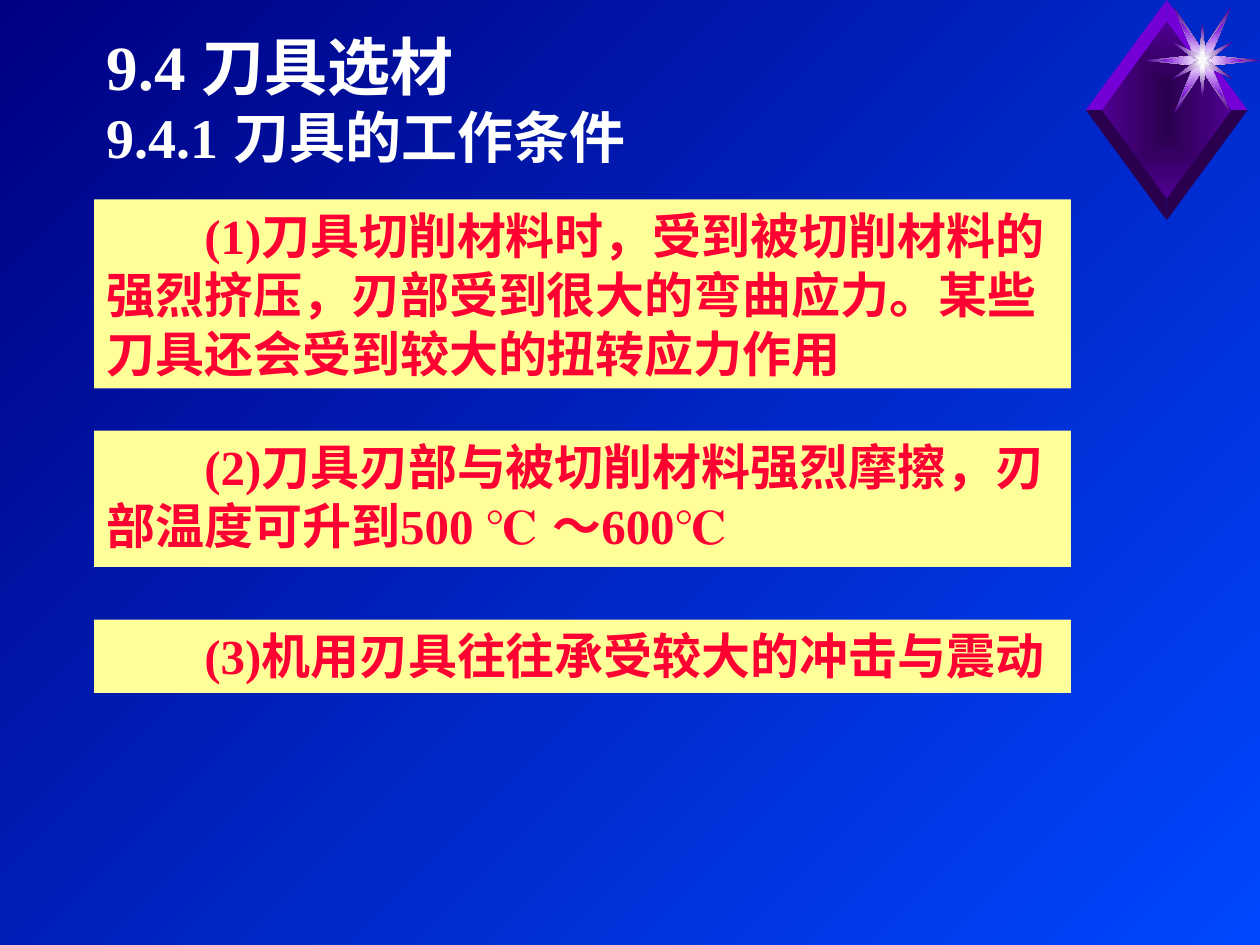
"""Build the slide on working conditions of cutting tools."""
from dataclasses import dataclass

from lxml.etree import SubElement
from pptx import Presentation
from pptx.dml.color import RGBColor
from pptx.enum.shapes import MSO_SHAPE
from pptx.enum.text import MSO_ANCHOR, PP_ALIGN
from pptx.oxml.ns import qn
from pptx.util import Cm, Pt


@dataclass(frozen=True)
class Theme:
    font: str = "Times New Roman"
    bg_light: str = "0047FF"
    bg_dark: str = "000082"
    title: str = "FFFFFF"
    body: str = "FF0033"
    panel: str = "FFFF99"
    gem_dark: str = "2A004E"
    gem_mid: str = "500093"
    gem_light: str = "7500D7"
    glow: str = "FFFFFF"
    core: str = "F9F9F9"
    title_sizes: tuple = (36, 32)
    body_size: int = 28


def style(r, size, color):
    r.font.name = theme.font
    r.font.size = Pt(size)
    r.font.bold = True
    r.font.color.rgb = RGBColor.from_string(color)


def add_polygon(center, points, colors):
    pts = [(Cm(center[0] + x), Cm(center[1] + y)) for x, y in points]
    builder = s.shapes.build_freeform(*pts[0])
    builder.add_line_segments(pts[1:])
    sp = builder.convert_to_shape()
    sp.shadow.inherit = False
    sp.line.fill.background()
    if len(colors) == 1:
        sp.fill.solid()
        sp.fill.fore_color.rgb = RGBColor.from_string(colors[0])
        return
    sp.fill.gradient()
    for stop, color in zip(sp.fill.gradient_stops, colors):
        stop.color.rgb = RGBColor.from_string(color)
    grad = sp._element.spPr.find(qn("a:gradFill"))
    grad.remove(grad.find(qn("a:lin")))
    route = SubElement(grad, qn("a:path"), {"path": "rect"})
    SubElement(route, qn("a:fillToRect"), dict.fromkeys("ltrb", "50000"))


theme = Theme()
prs = Presentation()
prs.slide_width, prs.slide_height = Cm(25.4), Cm(19.05)
s = prs.slides.add_slide(prs.slide_layouts[5])

bg = s.background.fill
bg.gradient()
bg.gradient_angle = 135
for stop, color in zip(bg.gradient_stops, (theme.bg_light, theme.bg_dark)):
    stop.color.rgb = RGBColor.from_string(color)

gem = (23.52, 2.22)
outer_w, outer_h, inner_w, inner_h = 1.63, 2.22, 1.31, 1.79
face = [(0, -inner_h), (-inner_w, 0), (0, inner_h), (inner_w, 0)]
add_polygon(gem, face, (theme.gem_dark, theme.gem_mid))
for dy, color in ((-1, theme.gem_light), (1, theme.gem_dark)):
    for dx in (1, -1):
        bevel = [(0, dy * inner_h), (0, dy * outer_h), (dx * outer_w, 0), (dx * inner_w, 0)]
        add_polygon(gem, bevel, (color,))

star = (24.24, 1.22)
quadrants = [
    ([(1.16, 0), (0.17, 0.1), (0.57, 1.07), (0, 0.2)], (theme.glow, theme.gem_mid)),
    ([(0.84, 0), (0.17, 0.1), (0.42, 0.76), (0, 0.2)], (theme.glow, theme.gem_light)),
    ([(0.11, 0), (0.6, 0.37), (0.06, 0.1), (0, 0.74)], (theme.glow, theme.gem_mid)),
    ([(0.05, 0), (0.14, 0.09), (0.03, 0.05), (0, 0.18)], (theme.core,)),
]
for q, colors in quadrants:
    half = q + [(-x, y) for x, y in q[2::-1]]
    add_polygon(star, half + [(x, -y) for x, y in half[-2:0:-1]], colors)

title = s.shapes.title
title.left, title.top, title.width, title.height = Cm(1.9), Cm(0.42), Cm(16.09), Cm(3.39)
tf = title.text_frame
tf.text = "9.4 刀具选材\v9.4.1 刀具的工作条件"
tf.word_wrap = True
tf.vertical_anchor = MSO_ANCHOR.TOP
p = tf.paragraphs[0]
p.alignment = PP_ALIGN.LEFT
for r, size in zip(p.runs, theme.title_sizes):
    style(r, size, theme.title)

conditions = [
    (4.02, 3.81, "(1)刀具切削材料时，受到被切削材料的强烈挤压，刃部受到很大的弯曲应力。某些刀具还会受到较大的扭转应力作用"),
    (8.68, 2.75, "(2)刀具刃部与被切削材料强烈摩擦，刃部温度可升到500 ℃ ～600℃"),
    (12.49, 1.48, "(3)机用刃具往往承受较大的冲击与震动"),
]
for top, height, text in conditions:
    sp = s.shapes.add_shape(MSO_SHAPE.RECTANGLE, Cm(1.9), Cm(top), Cm(19.69), Cm(height))
    sp.shadow.inherit = False
    sp.fill.solid()
    sp.fill.fore_color.rgb = RGBColor.from_string(theme.panel)
    sp.line.fill.background()
    tf = sp.text_frame
    tf.text = text
    tf.word_wrap = True
    tf.vertical_anchor = MSO_ANCHOR.TOP
    p = tf.paragraphs[0]
    p.alignment = PP_ALIGN.LEFT
    p._p.get_or_add_pPr().set("indent", str(Cm(1.97)))
    style(p.runs[0], theme.body_size, theme.body)

prs.save("out.pptx")
